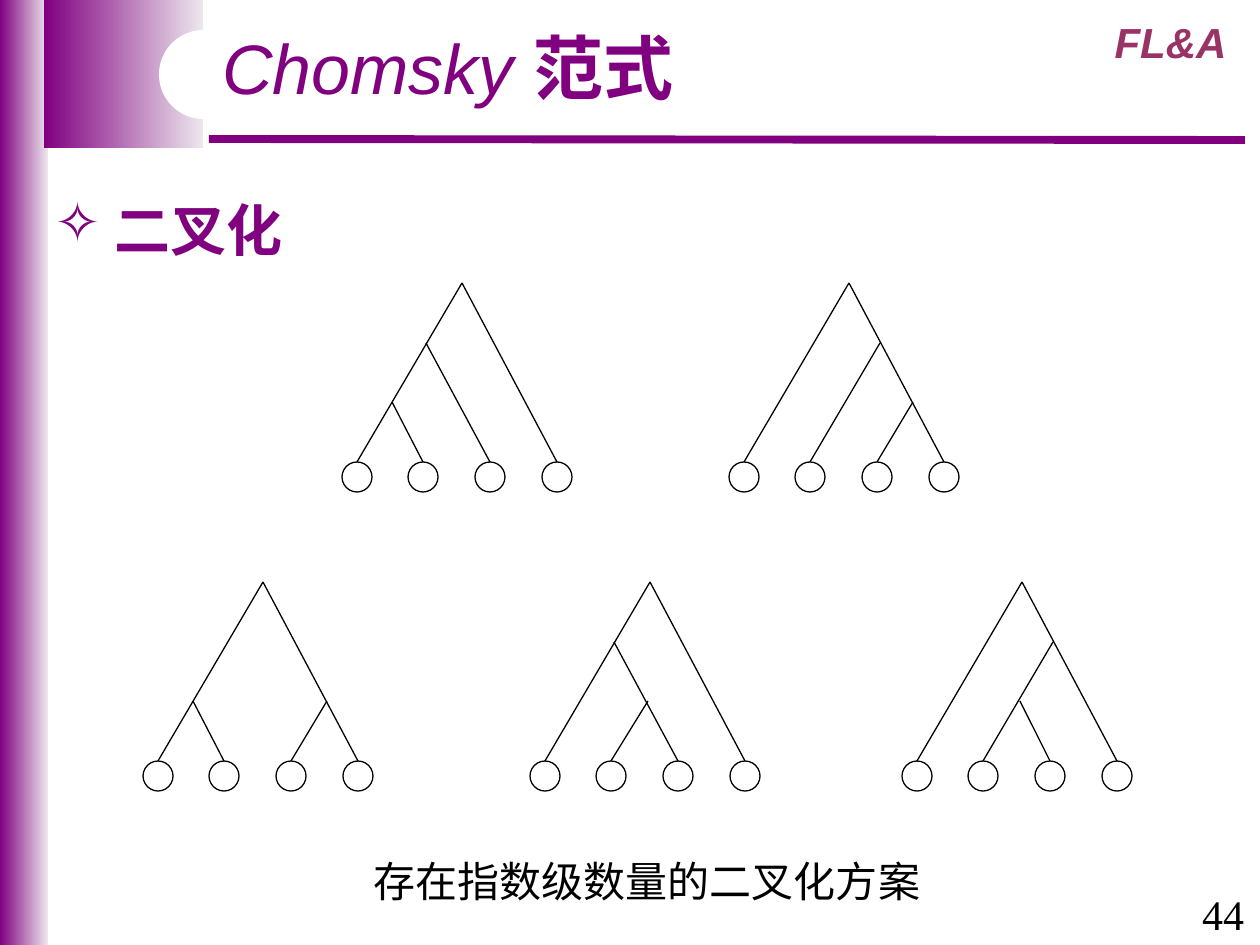
from lxml.etree import SubElement
from pptx import Presentation
from pptx.dml.color import RGBColor
from pptx.enum.shapes import MSO_CONNECTOR, MSO_SHAPE
from pptx.enum.text import MSO_ANCHOR, PP_ALIGN
from pptx.oxml.ns import qn
from pptx.util import Emu, Pt

PURPLE = RGBColor(0x80, 0x00, 0x80)
PALE = RGBColor(0xED, 0xE7, 0xED)
PLUM = RGBColor(0x99, 0x33, 0x66)
BLACK = RGBColor(0, 0, 0)
WHITE = RGBColor(0xFF, 0xFF, 0xFF)
CJK = "Noto Sans CJK SC"

APEX = (120, -179)
LEFT_LOW, LEFT_HIGH = (50, -60), (84, -119)
RIGHT_LOW, RIGHT_HIGH = (184, -60), (151, -119)
MIDDLE = (118, -60)
TREES = [
    (342, 462, LEFT_LOW, LEFT_HIGH),
    (729, 462, RIGHT_HIGH, RIGHT_LOW),
    (143, 761, LEFT_LOW, RIGHT_LOW),
    (530, 761, MIDDLE, LEFT_HIGH),
    (902, 761, RIGHT_HIGH, MIDDLE),
]


def px(n):
    return Emu(round(n * 914400 / 126))


def add_run(p, text, size=24, font="Arial", color=PURPLE, bold=False, italic=False):
    r = p.add_run()
    r.text = text
    f = r.font
    f.size, f.name, f.bold, f.italic = Pt(size), font, bold, italic
    f.color.rgb = color
    SubElement(r._r.get_or_add_rPr(), qn("a:ea")).set("typeface", CJK)


class Canvas:
    """Draws styled elements on one slide, measured in px."""

    def __init__(self, slide):
        self.shapes = slide.shapes

    def shape(self, kind, x, y, w, h, fill=None, line=None):
        sp = self.shapes.add_shape(kind, px(x), px(y), px(w), px(h))
        sp.shadow.inherit = False
        if fill is None:
            sp.fill.background()
        else:
            sp.fill.solid()
            sp.fill.fore_color.rgb = fill
        if line is None:
            sp.line.fill.background()
        else:
            sp.line.color.rgb = line
            sp.line.width = Pt(0.75)
        return sp

    def gradient(self, x, y, w, h):
        sp = self.shape(MSO_SHAPE.RECTANGLE, x, y, w, h)
        sp.fill.gradient()
        sp.fill.gradient_angle = 0
        for stop, color, position in zip(sp.fill.gradient_stops, (PURPLE, PALE), (0, 1)):
            stop.color.rgb = color
            stop.position = position

    def line(self, x1, y1, x2, y2, color=BLACK, width=0.75):
        ln = self.shapes.add_connector(MSO_CONNECTOR.STRAIGHT, px(x1), px(y1), px(x2), px(y2))
        ln.line.color.rgb = color
        ln.line.width = Pt(width)
        SubElement(ln._element.spPr, qn("a:effectLst"))

    def text(self, x, y, w, h, align=PP_ALIGN.LEFT, anchor=MSO_ANCHOR.TOP):
        tf = self.shapes.add_textbox(px(x), px(y), px(w), px(h)).text_frame
        tf.word_wrap = True
        tf.vertical_anchor = anchor
        p = tf.paragraphs[0]
        p.alignment = align
        return p

    def bullet(self, p, char, indent):
        pPr = p._p.get_or_add_pPr()
        pPr.set("marL", str(px(indent)))
        pPr.set("indent", str(-px(indent)))
        SubElement(pPr, qn("a:buChar")).set("char", char)

    def tree(self, x, y, second, third):
        leaves = [15 + round(66.5 * i) for i in range(4)]
        for leaf, (dx, dy) in zip(leaves, (APEX, second, third, APEX)):
            self.shape(MSO_SHAPE.OVAL, x + leaf - 15, y, 30, 30, line=BLACK)
            self.line(x + leaf, y, x + dx, y + dy)


def main():
    prs = Presentation()
    prs.slide_width, prs.slide_height = px(1260), px(945)
    c = Canvas(prs.slides.add_slide(prs.slide_layouts[6]))

    c.gradient(0, 0, 48, 949)
    c.gradient(44, 0, 159, 148)
    c.line(209, 139, 1245, 140, PURPLE, 4.5)
    add_run(c.text(1091, 10, 159, 63, PP_ALIGN.CENTER), "FL&A",
            color=PLUM, bold=True, italic=True)
    pill = c.shape(MSO_SHAPE.ROUNDED_RECTANGLE, 159, 30, 456, 89, WHITE)
    pill.adjustments[0] = 0.5

    p = c.text(42, 189, 1218, 161)
    c.bullet(p, "✧", 47)
    add_run(p, " ", 32, bold=True, italic=True)
    add_run(p, "二叉化", 32, bold=True)

    p = c.text(210, 31, 504, 85, anchor=MSO_ANCHOR.BOTTOM)
    p.line_spacing = 0.9
    add_run(p, "Chomsky ", 40, italic=True)
    add_run(p, "范式", 40, bold=True)

    for tree in TREES:
        c.tree(*tree)

    add_run(c.text(349, 849, 596, 63, PP_ALIGN.CENTER), "存在指数级数量的二叉化方案",
            font=CJK, color=BLACK)
    add_run(c.text(1176, 882, 94, 63, PP_ALIGN.CENTER), "44",
            font="Times New Roman", color=BLACK)
    prs.save("out.pptx")


if __name__ == "__main__":
    main()
